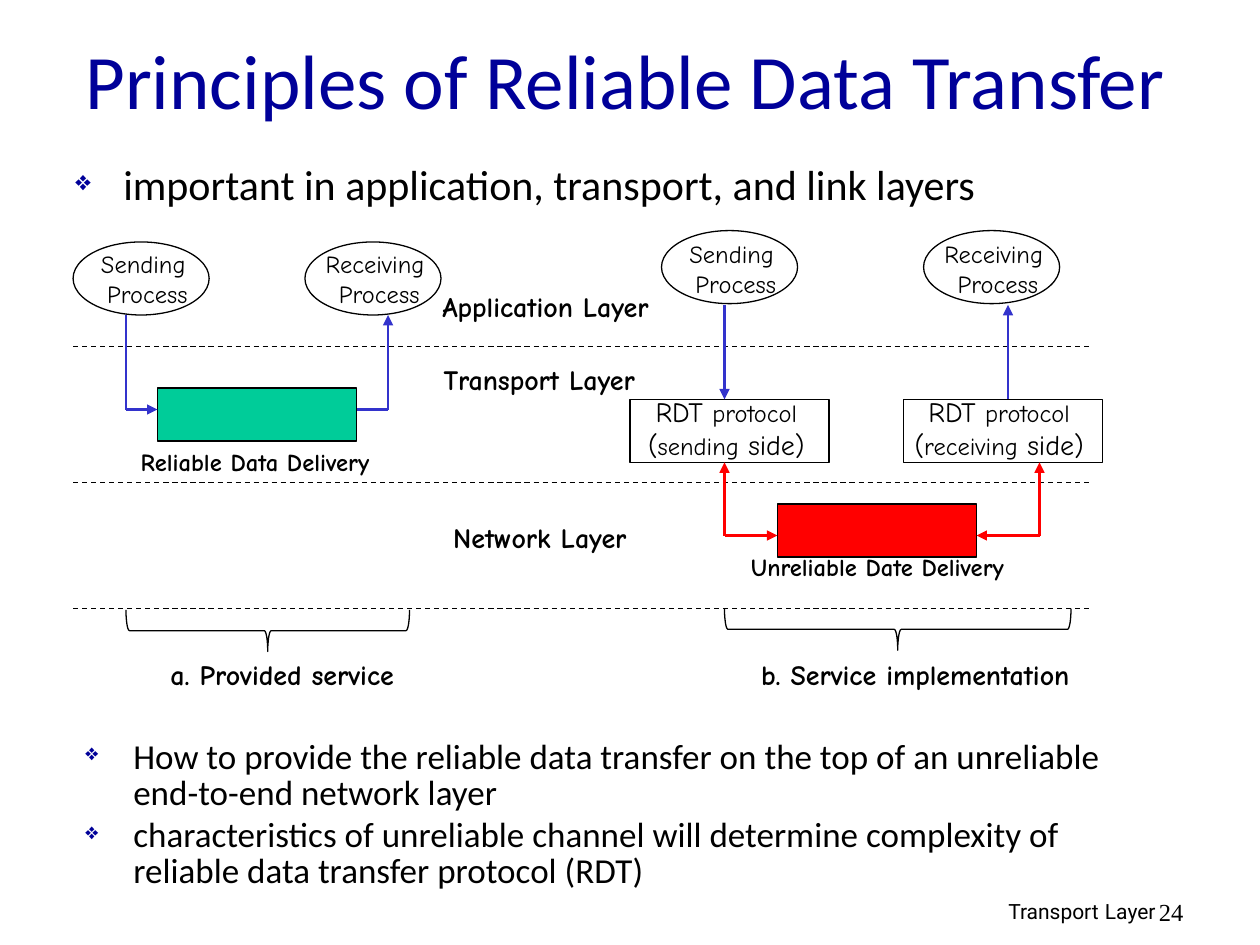
from lxml import etree
from pptx import Presentation
from pptx import util as u
from pptx.dml.color import RGBColor
from pptx.enum import dml, shapes, text
from pptx.oxml import ns

BLACK, NAVY, BLUE, RED, GREEN = "000000", "000099", "3333CC", "FF0000", "00CC99"
HAND = "Comic Neue"
CENTER = text.PP_ALIGN.CENTER
color = RGBColor.from_string

presentation = Presentation()
presentation.slide_width, presentation.slide_height = u.Inches(10), u.Inches(7.5)
slide = presentation.slides.add_slide(presentation.slide_layouts[6])


def add_text(box, paragraphs, font=HAND, fill=BLACK, bold=False, align=CENTER, wrap=False, bullet_spacing=None):
    """Each paragraph is a list of (words, size) runs."""
    shape = slide.shapes.add_textbox(*map(u.Inches, box))
    frame = shape.text_frame
    frame.word_wrap = wrap
    for index, runs in enumerate(paragraphs):
        paragraph = frame.add_paragraph() if index else frame.paragraphs[0]
        paragraph.alignment = align
        if bullet_spacing:
            properties = paragraph._p.get_or_add_pPr()
            properties.set("marL", str(u.Inches(0.38)))
            properties.set("indent", str(u.Inches(-0.38)))
            bullet_color = etree.SubElement(properties, ns.qn("a:buClr"))
            etree.SubElement(bullet_color, ns.qn("a:srgbClr"), val=NAVY)
            etree.SubElement(properties, ns.qn("a:buSzPct"), val="65000")
            etree.SubElement(properties, ns.qn("a:buChar"), char="❖")
            paragraph.line_spacing = bullet_spacing
            if index:
                paragraph.space_before = u.Pt(4)
        for words, size in runs:
            run = paragraph.add_run()
            run.text = words
            run.font.size, run.font.name, run.font.bold = u.Pt(size), font, bold
            run.font.color.rgb = color(fill)
    return shape


def add_line(start, end, stroke, width=1.5, head=False, tail=False):
    line = slide.shapes.add_connector(
        shapes.MSO_CONNECTOR.STRAIGHT, *map(u.Inches, (*start, *end)))
    line.line.color.rgb = color(stroke)
    line.line.width = u.Pt(width)
    for tag, wanted in (("a:headEnd", head), ("a:tailEnd", tail)):
        if wanted:
            etree.SubElement(line.line._get_or_add_ln(), ns.qn(tag), type="triangle")
    etree.SubElement(line._element.spPr, ns.qn("a:effectLst"))
    return line


# Title and bullets
title = add_text((0.58, 0, 9.24, 1.25), [[("Principles of Reliable Data Transfer", 44)]],
                 "Calibri", NAVY, align=text.PP_ALIGN.LEFT, wrap=True)
title.text_frame.vertical_anchor = text.MSO_ANCHOR.MIDDLE
add_text((0.5, 1.25, 8.38, 0.58), [[("important in application, transport, and link layers", 24)]],
         "Calibri", align=text.PP_ALIGN.LEFT, wrap=True, bullet_spacing=0.9)
add_text((0.58, 5.83, 8.51, 1.25), [
    [("How to provide the reliable data transfer on the top of an unreliable end-to-end network layer", 20)],
    [("characteristics of unreliable channel will determine complexity of reliable data transfer protocol (RDT)", 20)],
], "Calibri", align=text.PP_ALIGN.LEFT, wrap=True, bullet_spacing=0.85)

# Layer boundaries
for y in (2.75, 3.83, 4.83):
    boundary = add_line((0.58, y), (8.67, y), BLACK, 0.75)
    boundary.line.dash_style = dml.MSO_LINE.DASH

# Processes, protocol boxes, channels and braces
OVAL, BOX, BRACE = (shapes.MSO_SHAPE.OVAL, shapes.MSO_SHAPE.RECTANGLE, shapes.MSO_SHAPE.LEFT_BRACE)
for kind, box, fill in (
    (OVAL, (0.58, 1.92, 1.08, 0.58), None),
    (OVAL, (2.42, 1.92, 1.08, 0.58), None),
    (OVAL, (5.25, 1.83, 1.08, 0.58), None),
    (OVAL, (7.33, 1.83, 1.08, 0.58), None),
    (BOX, (5, 3.17, 1.58, 0.5), None),
    (BOX, (7.17, 3.17, 1.58, 0.5), None),
    (BOX, (1.25, 3.08, 1.58, 0.42), GREEN),
    (BOX, (6.17, 4, 1.58, 0.42), RED),
    (BRACE, (1.96, 3.88, 0.33, 2.25), None),
    (BRACE, (6.96, 3.62, 0.33, 2.75), None),
):
    shape = slide.shapes.add_shape(kind, *map(u.Inches, box))
    shape.shadow.inherit = False
    shape.line.color.rgb = color(BLACK)
    shape.line.width = u.Pt(0.75)
    if fill:
        shape.fill.solid()
        shape.fill.fore_color.rgb = color(fill)
    else:
        shape.fill.background()
    if kind == BRACE:
        shape.rotation = 270

# Process names
for name, x, y, width in (("Sending ", 0.68, 1.93, 0.98), ("Receiving ", 2.46, 1.93, 1.1),
                          ("Sending ", 5.35, 1.85, 0.98), ("Receiving ", 7.37, 1.85, 1.1)):
    add_text((x, y, width, 0.57), [[(name, 14)], [("Process", 14)]])

# Protocol names
for side, x, width in (("sending", 5, 1.53), ("receiving", 7.1, 1.66)):
    add_text((x, 3.08, width, 0.64), [[("RDT ", 16), ("protocol", 14)],
                                      [("(", 16), (side, 14), (" side)", 16)]])

# Layer, channel and brace labels
for label, size, box in (
    ("Application Layer", 16, (3.3, 2.25, 2.06, 0.37)),
    ("Transport Layer", 16, (3.3, 2.83, 1.96, 0.37)),
    ("Network Layer", 16, (3.38, 4.08, 1.81, 0.37)),
    ("Reliable Data Delivery", 14, (0.86, 3.5, 2.33, 0.34)),
    ("Unreliable Date Delivery", 14, (5.69, 4.33, 2.55, 0.34)),
    ("a. Provided service", 16, (1.1, 5.17, 2.28, 0.37)),
    ("b. Service implementation", 16, (5.75, 5.17, 3.03, 0.37)),
):
    add_text(box, [[(label, size)]], bold=True)

# Data flow of the provided service
add_line((1, 2.5), (1, 3.25), BLUE)
add_line((1, 3.25), (1.25, 3.25), BLUE, tail=True)
add_line((3.08, 3.25), (2.83, 3.25), BLUE)
add_line((3.08, 2.5), (3.08, 3.25), BLUE, head=True)

# Data flow of the implementation
add_line((5.75, 2.42), (5.75, 3.17), BLUE, tail=True)
add_line((8, 2.42), (8, 3.17), BLUE, head=True)
for x, channel_edge in ((5.75, 6.17), (8.25, 7.75)):
    add_line((x, 3.67), (x, 4.25), RED, head=True)
    add_line((x, 4.25), (channel_edge, 4.25), RED, tail=True)

# Footer
add_text((6.1, 7.05, 3.17, 0.31), [[("Transport", 12), (" ", 14), ("Layer", 12)]],
         "Roboto", align=text.PP_ALIGN.RIGHT, wrap=True)
add_text((9.1, 7.07, 0.74, 0.3), [[("24", 14)]], "Times New Roman",
         align=text.PP_ALIGN.LEFT, wrap=True)

presentation.save("out.pptx")
